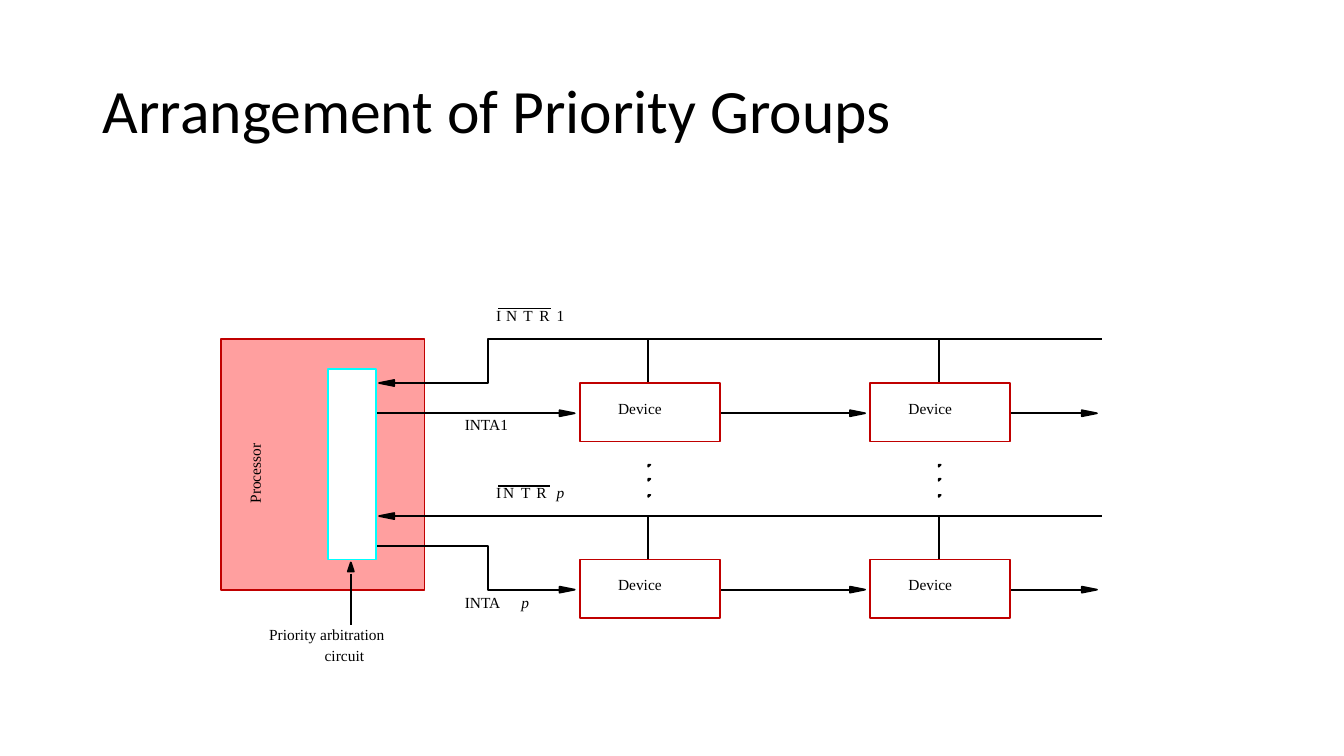
from dataclasses import dataclass
from typing import Optional

from lxml.etree import SubElement
from pptx import Presentation
from pptx.dml.color import RGBColor
from pptx.enum.shapes import MSO_CONNECTOR, MSO_SHAPE
from pptx.enum.text import MSO_ANCHOR, MSO_AUTO_SIZE, PP_ALIGN
from pptx.oxml.ns import qn
from pptx.util import Emu, Pt

PX = 9144  # 100 px to the inch
COLORS = {"ink": "000000", "pink": "FF9F9F", "red": "C00000",
          "white": "FFFFFF", "cyan": "00FFFF"}
LINE_WIDTH = Pt(1.25)
HEAD = 15  # arrowhead length
Point = tuple[int, int]


@dataclass(frozen=True)
class Box:
    x: int
    y: int
    w: int
    h: int
    line: str
    fill: Optional[str] = None


@dataclass(frozen=True)
class Wire:
    points: tuple[Point, ...]


@dataclass(frozen=True)
class Head:
    tip: Point
    dx: int = 0
    dy: int = 0
    length: int = HEAD
    half: int = 3


@dataclass(frozen=True)
class Label:
    text: str
    x: int
    y: int
    w: int
    h: int = 25
    italic: bool = False
    rotation: int = 0


def px(n: int) -> Emu:
    return Emu(n * PX)


def rgb(name: str) -> RGBColor:
    return RGBColor.from_string(COLORS[name])


def style(s, line: str, fill: Optional[str] = None) -> None:
    s.shadow.inherit = False
    s.line.color.rgb = rgb(line)
    s.line.width = LINE_WIDTH
    if fill:
        s.fill.solid()
        s.fill.fore_color.rgb = rgb(fill)
    else:
        s.fill.background()


def draw_box(shapes, box: Box) -> None:
    s = shapes.add_shape(MSO_SHAPE.RECTANGLE, px(box.x), px(box.y), px(box.w), px(box.h))
    style(s, box.line, box.fill)


def draw_outline(shapes, points: tuple[Point, ...], close: bool, fill: Optional[str] = None) -> None:
    builder = shapes.build_freeform(*points[0], scale=PX)
    builder.add_line_segments(points[1:], close=close)
    style(builder.convert_to_shape(), "ink", fill)


def draw_wire(shapes, wire: Wire) -> None:
    if len(wire.points) > 2:
        draw_outline(shapes, wire.points, close=False)
        return
    (x1, y1), (x2, y2) = wire.points
    c = shapes.add_connector(MSO_CONNECTOR.STRAIGHT, px(x1), px(y1), px(x2), px(y2))
    c.line.color.rgb = rgb("ink")
    c.line.width = LINE_WIDTH
    SubElement(c.element.spPr, qn("a:effectLst"))


def draw_head(shapes, head: Head) -> None:
    x, y = head.tip
    bx, by = x - head.dx * head.length, y - head.dy * head.length
    ox, oy = head.dy * head.half, head.dx * head.half
    draw_outline(shapes, (head.tip, (bx + ox, by + oy), (bx - ox, by - oy)), True, "ink")


def draw_label(shapes, label: Label) -> None:
    s = shapes.add_textbox(px(label.x), px(label.y), px(label.w), px(label.h))
    s.rotation = label.rotation
    tf = s.text_frame
    tf.margin_left = tf.margin_right = tf.margin_top = tf.margin_bottom = 0
    tf.word_wrap = False
    tf.auto_size = MSO_AUTO_SIZE.SHAPE_TO_FIT_TEXT
    tf.text = label.text
    font = tf.paragraphs[0].runs[0].font
    font.name, font.size, font.italic = "Times New Roman", Pt(11), label.italic
    font.color.rgb = rgb("ink")


def draw_title(slide) -> None:
    s = slide.shapes.title
    s.left, s.top, s.width, s.height = px(92), px(40), px(1150), px(145)
    tf = s.text_frame
    tf.text = "Arrangement of Priority Groups"
    tf.vertical_anchor = MSO_ANCHOR.MIDDLE
    p = tf.paragraphs[0]
    p.alignment = PP_ALIGN.LEFT
    p.line_spacing = 0.9
    font = p.runs[0].font
    font.name, font.size = "Calibri", Pt(44)
    font.color.rgb = rgb("ink")


# Processor and its arbitration circuit
PROCESSOR = Box(219, 336, 202, 249, "red", "pink")
ARBITER = Box(325, 366, 48, 189, "cyan", "white")
ARBITER_EDGE = ARBITER.x + ARBITER.w

# Device grid: one row per priority group
DEVICE_XS, DEVICE_W = (575, 863), 139
DEVICE_YS, DEVICE_H = (380, 555), 58
REQUEST_YS = (336, 512)
ACK_YS = (410, 585)
STEM = 68
BUS_END, BEND, BUS_HEAD, ACK_HEAD = 1093, 484, 376, 570
DOT_YS = (461, 475, 491)

# Request and acknowledge lines
WIRES = [
    Wire(((BUS_HEAD + HEAD, 380), (BEND, 380), (BEND, 336), (BUS_END, 336))),
    Wire(((BUS_HEAD + HEAD, 512), (BUS_END, 512))),
    Wire(((ARBITER_EDGE, 410), (ACK_HEAD - HEAD, 410))),
    Wire(((ARBITER_EDGE, 542), (BEND, 542), (BEND, 585), (ACK_HEAD - HEAD, 585))),
    Wire(((348, 569), (348, 620))),
]
HEADS = [
    *(Head((BUS_HEAD, y), dx=-1) for y in (380, 512)),
    *(Head((ACK_HEAD, y), dx=1) for y in ACK_YS),
    Head((348, 558), dy=-1, length=9),
]

# Signal names, with the overlined letters spaced out
LABELS = [
    Label("Processor", 217, 445, 81, 28, rotation=270),
    Label("Priority arbitration", 267, 620, 170),
    Label("circuit", 322, 641, 58),
    Label("INTA1", 461, 412, 66),
    Label("INTA", 461, 588, 55),
    Label("p", 517, 588, 11, italic=True),
]
for index, y, xs in (("1", 304, (492, 502, 519, 535)), ("p", 479, (492, 499, 517, 532))):
    LABELS += [Label(letter, x, y, w) for letter, x, w in zip("INTR", xs, (8, 17, 14, 15))]
    LABELS.append(Label(index, 552, y, 11, italic=index == "p"))
OVERLINES = [Wire(((494, 306), (547, 306))), Wire(((494, 482), (545, 482)))]


def draw_devices(shapes) -> None:
    for x in DEVICE_XS:
        stem = x + STEM
        for y, request_y, ack_y in zip(DEVICE_YS, REQUEST_YS, ACK_YS):
            right = x + DEVICE_W
            tip = right + (144 if x == DEVICE_XS[0] else 86)
            draw_wire(shapes, Wire(((stem, request_y), (stem, y))))
            draw_wire(shapes, Wire(((right, ack_y), (tip - HEAD, ack_y))))
            draw_head(shapes, Head((tip, ack_y), dx=1))
            draw_box(shapes, Box(x, y, DEVICE_W, DEVICE_H, "red"))
            draw_label(shapes, Label("Device", x + 38, y + 16, 65))
        for y in DOT_YS:
            draw_outline(shapes, ((stem, y + 2), (stem + 2, y), (stem, y)), True, "ink")


def main() -> None:
    prs = Presentation()
    prs.slide_width, prs.slide_height = px(1333), px(750)
    slide = prs.slides.add_slide(prs.slide_layouts[5])
    draw_title(slide)

    # Diagram
    shapes = slide.shapes.add_group_shape().shapes
    draw_box(shapes, PROCESSOR)
    for wire in WIRES + OVERLINES:
        draw_wire(shapes, wire)
    for head in HEADS:
        draw_head(shapes, head)
    draw_devices(shapes)
    draw_box(shapes, ARBITER)
    for label in LABELS:
        draw_label(shapes, label)
    prs.save("out.pptx")


if __name__ == "__main__":
    main()
